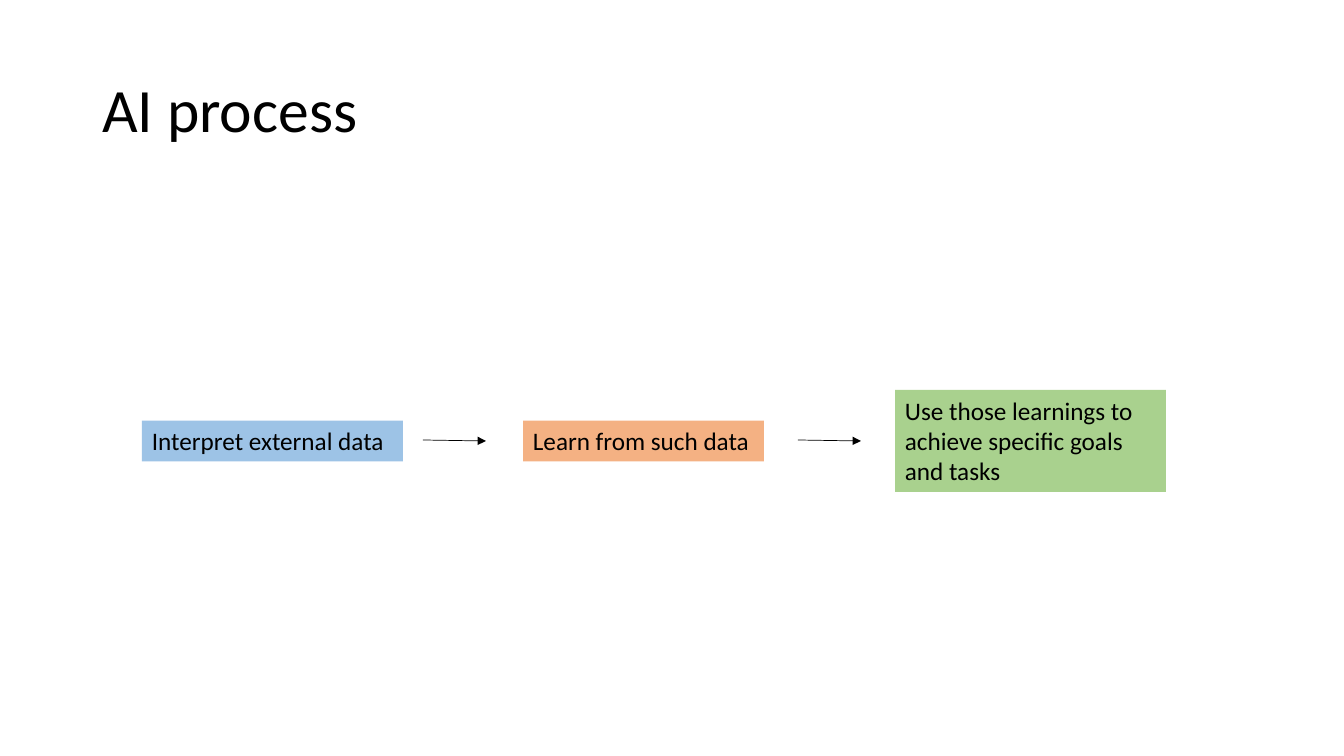
"""Build the AI process slide: a title and three steps joined by arrows."""
from lxml.etree import SubElement
from pptx import Presentation
from pptx.dml.color import RGBColor
from pptx.enum.shapes import MSO_CONNECTOR as Connector, MSO_SHAPE as Preset
from pptx.enum.text import MSO_ANCHOR as Anchor, PP_ALIGN as Align
from pptx.oxml.ns import qn
from pptx.util import Pt

BLACK = RGBColor(0x00, 0x00, 0x00)
BLUE = RGBColor(0x9D, 0xC3, 0xE6)
ORANGE = RGBColor(0xF4, 0xB1, 0x83)
GREEN = RGBColor(0xA9, 0xD1, 0x8E)

TITLE = "AI process"
STEPS = [
    ("Interpret external data", BLUE, 142, 261, 41),
    ("Learn from such data", ORANGE, 523, 241, 41),
    ("Use those learnings to achieve specific goals and tasks", GREEN, 895, 271, 102),
]
ARROW_LEFTS = [423, 798]
ARROW_WIDTH = 63
MIDDLE = 441
SCALE = 914400 / 100.8


def px(length):
    return round(length * SCALE)


def write(shape, text, size=18, anchor=Anchor.TOP, spacing=1.0):
    frame = shape.text_frame
    frame.word_wrap = True
    frame.vertical_anchor = anchor
    paragraph = frame.paragraphs[0]
    paragraph.alignment = Align.LEFT
    paragraph.line_spacing = spacing
    run = paragraph.add_run()
    run.text = text
    run.font.name = "Calibri"
    run.font.size = Pt(size)
    run.font.color.rgb = BLACK


def add_step(slide, text, color, left, width, height):
    top = MIDDLE - height / 2
    shape = slide.shapes.add_shape(Preset.RECTANGLE, px(left), px(top), px(width), px(height))
    shape.shadow.inherit = False
    shape.fill.solid()
    shape.fill.fore_color.rgb = color
    shape.line.fill.background()
    write(shape, text)


def add_arrow(slide, left):
    arrow = slide.shapes.add_connector(
        Connector.STRAIGHT, px(left), px(MIDDLE - 1), px(left + ARROW_WIDTH), px(MIDDLE))
    arrow.line.color.rgb = BLACK
    arrow.line.width = Pt(0.5)
    SubElement(arrow.line._get_or_add_ln(), qn("a:tailEnd"), type="triangle")
    SubElement(arrow._element.spPr, qn("a:effectLst"))


def main():
    presentation = Presentation()
    presentation.slide_width, presentation.slide_height = px(1344), px(756)
    slide = presentation.slides.add_slide(presentation.slide_layouts[5])
    title = slide.shapes.title
    title.left, title.top, title.width, title.height = px(92), px(40), px(1159), px(146)
    write(title, TITLE, size=44, anchor=Anchor.MIDDLE, spacing=0.9)
    for step in STEPS:
        add_step(slide, *step)
    for left in ARROW_LEFTS:
        add_arrow(slide, left)
    presentation.save("out.pptx")


if __name__ == "__main__":
    main()
